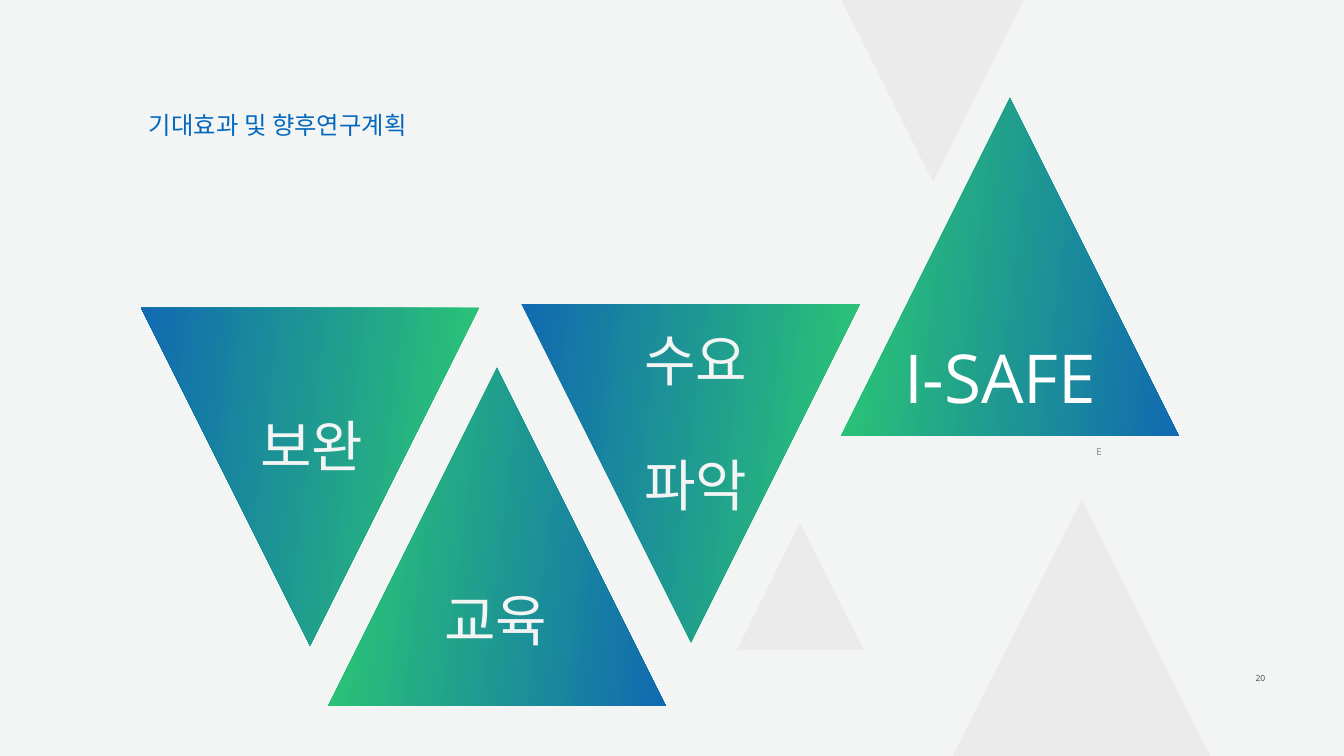
from pptx import Presentation
from pptx.dml.color import RGBColor
from pptx.enum.text import MSO_ANCHOR, MSO_AUTO_SIZE, PP_ALIGN
from pptx.util import Pt

PX = 914400 / 50.4
TOP, MIDDLE = MSO_ANCHOR.TOP, MSO_ANCHOR.MIDDLE
LEFT, CENTER = PP_ALIGN.LEFT, PP_ALIGN.CENTER
GROW, FIXED = MSO_AUTO_SIZE.SHAPE_TO_FIT_TEXT, MSO_AUTO_SIZE.NONE
TITLE_ONLY = 5

PALE, GREY, WHITE = "F3F4F4", "EBEBEB", "FFFFFF"
GREEN, BLUE = "2DCC70", "116AB1"


def px(length):
    return round(length * PX)


def rgb(value):
    return RGBColor.from_string(value)


class SlideBuilder:
    font = "Open Sans"
    inset = 3
    raised = "52000"

    def __init__(self, slide):
        self.slide = slide
        background = slide.background.fill
        background.solid()
        background.fore_color.rgb = rgb(PALE)

    def triangle(self, left, top, side, down=False, color=None):
        """Draw a triangle as high as it is wide, with a gradient if no color is given."""
        builder = self.slide.shapes.build_freeform(left + side / 2, top, scale=PX)
        builder.add_line_segments([(left + side, top + side), (left, top + side)])
        shape = builder.convert_to_shape()
        shape.shadow.inherit = False
        shape.line.fill.background()
        shape.rotation = 180 if down else 0
        if color:
            shape.fill.solid()
            shape.fill.fore_color.rgb = rgb(color)
            return
        shape.fill.gradient()
        shape.fill.gradient_angle = 353
        for stop, (position, tone) in zip(shape.fill.gradient_stops, [(0, GREEN), (1, BLUE)]):
            stop.position = position
            stop.color.rgb = rgb(tone)

    def fill_text(self, shape, box, paragraphs, align=CENTER, spacing=None, **frame_format):
        """Place a shape and write paragraphs, each a list of (text, size, color)."""
        for name, value in zip(("left", "top", "width", "height"), box):
            setattr(shape, name, px(value))
        frame = shape.text_frame
        inset = px(self.inset)
        settings = {"word_wrap": True, "auto_size": FIXED, "vertical_anchor": MIDDLE,
                    "margin_left": inset, "margin_right": inset,
                    "margin_top": inset, "margin_bottom": inset}
        for name, value in (settings | frame_format).items():
            setattr(frame, name, value)
        for index, runs in enumerate(paragraphs):
            paragraph = frame.add_paragraph() if index else frame.paragraphs[0]
            paragraph.alignment = align
            paragraph.line_spacing = spacing
            for text, size, color in runs:
                run = paragraph.add_run()
                run.text = text
                for name, value in {"name": self.font, "size": Pt(size)}.items():
                    setattr(run.font, name, value)
                run.font.color.rgb = rgb(color)
                run._r.get_or_add_rPr().set("baseline", self.raised)

    def title(self, text, box, size, color):
        self.fill_text(self.slide.shapes.title, box, [[(text, size, color)]],
                       align=LEFT, spacing=0.8, auto_size=GROW)

    def text(self, box, paragraphs, **options):
        textbox = self.slide.shapes.add_textbox(0, 0, 0, 0)
        self.fill_text(textbox, box, paragraphs, **options)

    def step(self, box, *lines, **options):
        self.text(box, [[(line, 138, PALE)] for line in lines], **options)


def main():
    presentation = Presentation()
    presentation.slide_width, presentation.slide_height = px(1344), px(756)
    layout = presentation.slide_layouts[TITLE_ONLY]
    page = SlideBuilder(presentation.slides.add_slide(layout))

    page.text((1249, 670, 23, 24), [[("20", 21, "45475B")]],
              word_wrap=False, auto_size=GROW, vertical_anchor=TOP)
    page.title("기대효과 및 향후연구계획", (146, 120, 770, 46), 60, "0469BD")

    for left, top, side, down in [(833, -17, 199, True), (953, 499, 257, False),
                                  (737, 523, 127, False)]:
        page.triangle(left, top, side, down, GREY)
    for left, top, down in [(141, 308, True), (328, 368, False),
                            (522, 304, True), (841, 98, False)]:
        page.triangle(left, top, 338, down)

    page.step((174, 357, 276, 104), "보완", vertical_anchor=TOP, margin_top=px(54))
    page.step((388, 588, 216, 120), "교육")
    page.step((584, 391, 224, 120), "수요", "파악")
    page.text((901, 362, 264, 99), [[("I-SAFE", 166, WHITE), ("E", 24, "848484")]],
              align=LEFT, auto_size=GROW)

    presentation.save("out.pptx")


if __name__ == "__main__":
    main()
